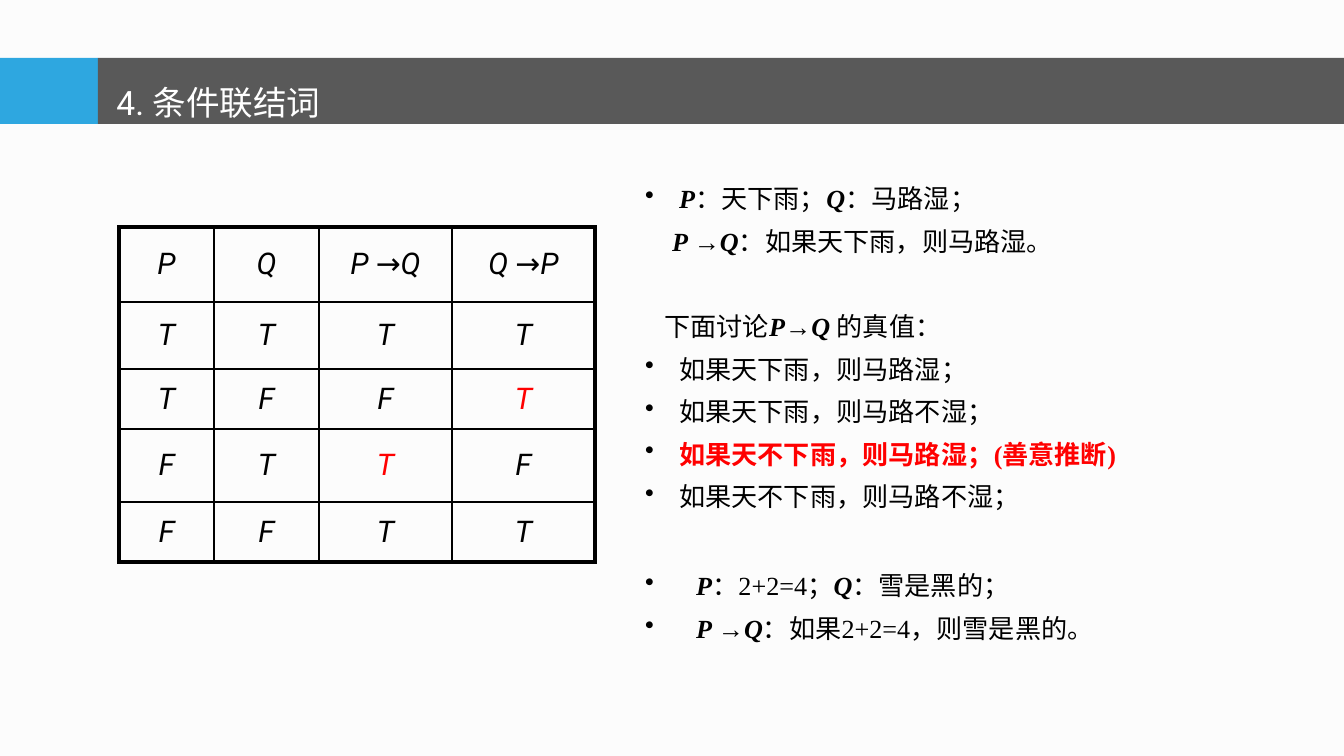
from dataclasses import dataclass

from lxml import etree
from pptx import Presentation
from pptx.dml.color import RGBColor
from pptx.enum.shapes import MSO_SHAPE
from pptx.enum.text import MSO_ANCHOR, MSO_AUTO_SIZE, PP_ALIGN
from pptx.oxml.ns import qn
from pptx.util import Pt

RECTANGLE = MSO_SHAPE.RECTANGLE
TOP, MIDDLE = MSO_ANCHOR.TOP, MSO_ANCHOR.MIDDLE
LEFT, CENTER = PP_ALIGN.LEFT, PP_ALIGN.CENTER
NO_AUTOFIT = MSO_AUTO_SIZE.NONE
PX = 914400 / 134.4


@dataclass(frozen=True)
class Theme:
    background: str = "FCFCFC"
    accent: str = "2EA7E0"
    band: str = "595959"
    white: str = "FFFFFF"
    ink: str = "000000"
    red: str = "FF0000"
    sans: str = "Roboto"
    serif: str = "Times New Roman"
    title_size: int = 18
    table_size: int = 16
    body_size: int = 14
    outer_line: float = 2.25
    inner_line: float = 1


theme = Theme()


def px(*lengths):
    return [round(length * PX) for length in lengths]


def add_runs(paragraph, marked, font, size, color, bold=False, bold_marks=False):
    """Add text run by run; parts between asterisks are italic."""
    for index, part in enumerate(marked.split("*")):
        if not part:
            continue
        emphasised = index % 2 == 1
        run = paragraph.add_run()
        run.text = part
        run.font.name = font
        run.font.size = Pt(size)
        run.font.color.rgb = RGBColor.from_string(color)
        run.font.italic = emphasised
        run.font.bold = bold or (bold_marks and emphasised)


prs = Presentation()
prs.slide_width, prs.slide_height = px(1344, 756)
slide = prs.slides.add_slide(prs.slide_layouts[5])
slide.background.fill.solid()
slide.background.fill.fore_color.rgb = RGBColor.from_string(theme.background)

# Header band with the title on top of it
for left, width, color in ((0, 98, theme.accent), (98, 1246, theme.band)):
    band = slide.shapes.add_shape(RECTANGLE, *px(left, 58, width, 66))
    band.shadow.inherit = False
    band.fill.solid()
    band.fill.fore_color.rgb = RGBColor.from_string(color)
    band.line.fill.background()

title = slide.shapes.title
title.left, title.top, title.width, title.height = px(103, 47, 552, 74)
title.text_frame.word_wrap = True
title.text_frame.auto_size = NO_AUTOFIT
title.text_frame.vertical_anchor = TOP
heading = title.text_frame.paragraphs[0]
heading.alignment = LEFT
heading.line_spacing = 1.7
add_runs(heading, "4. 条件联结词", theme.sans, theme.title_size, theme.white)
band.element.addnext(title.element)

# Truth table
column_widths = px(95, 105, 133, 143)
row_heights = px(75, 67, 60, 73, 60)
truth_rows = [
    ["*P*", "*Q*", "*P *→*Q*", "*Q *→*P*"],
    ["*T*", "*T*", "*T*", "*T*"],
    ["*T*", "*F*", "*F*", "*T*"],
    ["*F*", "*T*", "*T*", "*F*"],
    ["*F*", "*F*", "*T*", "*T*"],
]
red_cells = {(2, 3), (3, 2)}
last_row, last_column = len(row_heights) - 1, len(column_widths) - 1

truth_table = slide.shapes.add_table(
    len(row_heights), len(column_widths), *px(119, 227),
    sum(column_widths), sum(row_heights)).table
truth_table.first_row = False
truth_table.horz_banding = False
for column, width in zip(truth_table.columns, column_widths):
    column.width = width
for row, height in zip(truth_table.rows, row_heights):
    row.height = height

for r, values in enumerate(truth_rows):
    for c, value in enumerate(values):
        cell = truth_table.cell(r, c)
        cell.vertical_anchor = MIDDLE
        paragraph = cell.text_frame.paragraphs[0]
        paragraph.alignment = CENTER
        add_runs(paragraph, value, theme.sans, theme.table_size,
                 theme.red if (r, c) in red_cells else theme.ink)

        outer_edges = {"lnL": c == 0, "lnR": c == last_column,
                       "lnT": r == 0, "lnB": r == last_row}
        properties = cell._tc.get_or_add_tcPr()
        for edge, is_outer in outer_edges.items():
            weight = theme.outer_line if is_outer else theme.inner_line
            border = etree.SubElement(properties, qn(f"a:{edge}"), w=str(Pt(weight)))
            border_fill = etree.SubElement(border, qn("a:solidFill"))
            etree.SubElement(border_fill, qn("a:srgbClr"), val=theme.ink)
        cell.fill.background()

# Notes: (text, indent in px, bulleted, space before in pt, red)
LINE_GAP, SECTION_GAP = 6, 28.8
implication_notes = [
    ("*P*：天下雨；*Q*：马路湿；", 34, True, 0, False),
    ("*P *→*Q*：如果天下雨，则马路湿。", 27, False, LINE_GAP, False),
    ("下面讨论*P*→*Q *的真值：", 19, False, SECTION_GAP, False),
    ("如果天下雨，则马路湿；", 34, True, LINE_GAP, False),
    ("如果天下雨，则马路不湿；", 34, True, LINE_GAP, False),
    ("如果天不下雨，则马路湿；(善意推断)", 34, True, LINE_GAP, True),
    ("如果天不下雨，则马路不湿；", 34, True, LINE_GAP, False),
]
snow_notes = [
    ("*P*：2+2=4；*Q*：雪是黑的；", 51, True, 0, False),
    ("*P *→*Q*：如果2+2=4，则雪是黑的。", 51, True, LINE_GAP, False),
]
for notes, bounds in ((implication_notes, (632, 176, 638, 410)),
                      (snow_notes, (632, 563, 575, 103))):
    frame = slide.shapes.add_textbox(*px(*bounds)).text_frame
    frame.word_wrap = True
    for index, (text, indent, bulleted, gap, is_red) in enumerate(notes):
        paragraph = frame.add_paragraph() if index else frame.paragraphs[0]
        properties = paragraph._p.get_or_add_pPr()
        margin = px(indent)[0]
        properties.set("marL", str(margin))
        properties.set("indent", str(-margin if bulleted else 0))
        if bulleted:
            bullet_color = etree.SubElement(properties, qn("a:buClr"))
            etree.SubElement(bullet_color, qn("a:srgbClr"), val=theme.ink)
            etree.SubElement(properties, qn("a:buChar"), char="•")
        paragraph.space_before = Pt(gap)
        add_runs(paragraph, text, theme.serif, theme.body_size,
                 theme.red if is_red else theme.ink, bold=is_red, bold_marks=True)

prs.save("out.pptx")
